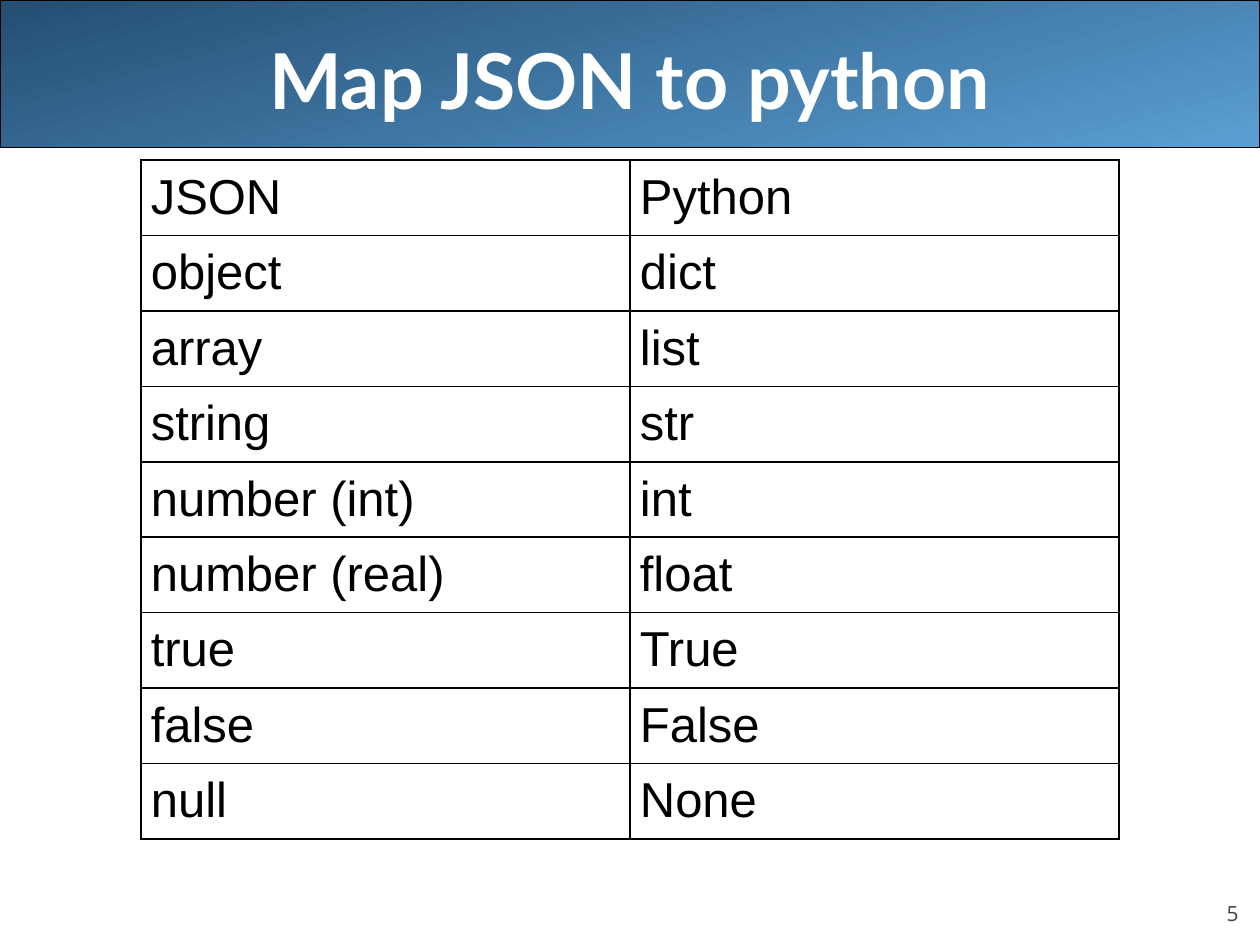
from typing import NamedTuple

from lxml import etree
from pptx import Presentation
from pptx.dml.color import RGBColor
from pptx.enum.shapes import MSO_SHAPE
from pptx.enum.text import MSO_ANCHOR, PP_ALIGN
from pptx.oxml.ns import qn
from pptx.util import Cm, Pt

ROUNDED = MSO_SHAPE.ROUNDED_RECTANGLE
MIDDLE, BOTTOM = MSO_ANCHOR.MIDDLE, MSO_ANCHOR.BOTTOM
CENTER, RIGHT = PP_ALIGN.CENTER, PP_ALIGN.RIGHT
TITLE_ONLY = 5

COLORS = {
    "banner_dark": "244E72",
    "banner_light": "5A9FD4",
    "border": "000000",
    "text": "000000",
    "white": "FFFFFF",
    "number": "424242",
}


class TypeMapping(NamedTuple):
    json: str
    python: str


class TextStyle(NamedTuple):
    font: str
    size: int
    color: str
    bold: bool = False


MAPPINGS = [
    TypeMapping("JSON", "Python"),
    TypeMapping("object", "dict"),
    TypeMapping("array", "list"),
    TypeMapping("string", "str"),
    TypeMapping("number (int)", "int"),
    TypeMapping("number (real)", "float"),
    TypeMapping("true", "True"),
    TypeMapping("false", "False"),
    TypeMapping("null", "None"),
]
TITLE_STYLE = TextStyle("Lato", 44, "white", bold=True)
CELL_STYLE = TextStyle("Arial", 28, "text")
NUMBER_STYLE = TextStyle("Open Sans", 12, "number")


def color(name: str) -> RGBColor:
    return RGBColor.from_string(COLORS[name])


def write(frame, text: str, style: TextStyle, align=None):
    """Set the text of a frame, style it, and return its paragraph."""
    frame.text = text
    para = frame.paragraphs[0]
    para.alignment = align
    font = para.runs[0].font
    font.name, font.size, font.bold = style.font, Pt(style.size), style.bold
    font.color.rgb = color(style.color)
    return para


def add_title(slide, text: str) -> None:
    title = slide.shapes.title
    title.left, title.top, title.width, title.height = Cm(1.27), Cm(0), Cm(22.86), Cm(3.18)
    title.text_frame.vertical_anchor = MIDDLE
    write(title.text_frame, text, TITLE_STYLE, CENTER)


def add_banner(slide, width: int) -> None:
    """Put the gradient banner behind the title."""
    banner = slide.shapes.add_shape(ROUNDED, Cm(0), Cm(0), width, Cm(2.97))
    banner.adjustments[0] = 0
    banner.shadow.inherit = False
    banner.fill.gradient()
    banner.fill.gradient_angle = 285
    for stop, name, position in zip(
        banner.fill.gradient_stops, ("banner_dark", "banner_light"), (0, 1)
    ):
        stop.color.rgb = color(name)
        stop.position = position
    banner.line.color.rgb = color("border")
    banner.line.width = Pt(0.75)
    slide.shapes.title.element.addprevious(banner.element)


def add_borders(cell) -> None:
    properties = cell._tc.get_or_add_tcPr()
    for index, side in enumerate(("a:lnL", "a:lnR", "a:lnT", "a:lnB")):
        line = etree.Element(qn(side), w=str(Pt(1)))
        fill = etree.SubElement(line, qn("a:solidFill"))
        etree.SubElement(fill, qn("a:srgbClr"), val=COLORS["border"])
        properties.insert(index, line)


def add_mapping_table(slide, mappings: list[TypeMapping]) -> None:
    row_height, column_width = Cm(1.52), Cm(9.86)
    columns = len(TypeMapping._fields)
    table = slide.shapes.add_table(
        len(mappings), columns, Cm(2.84), Cm(3.23),
        column_width * columns, row_height * len(mappings),
    ).table
    table.first_row = table.horz_banding = False
    for row, mapping in zip(table.rows, mappings):
        row.height = row_height
        for cell, text in zip(row.cells, mapping):
            cell.margin_left = cell.margin_right = Cm(0.2)
            cell.margin_top = cell.margin_bottom = Cm(0.2)
            cell.fill.solid()
            cell.fill.fore_color.rgb = color("white")
            add_borders(cell)
            write(cell.text_frame, text, CELL_STYLE)


def add_page_number(slide, number: int) -> None:
    box = slide.shapes.add_textbox(Cm(22.86), Cm(17.65), Cm(2.11), Cm(1.02))
    frame = box.text_frame
    frame.word_wrap = True
    frame.vertical_anchor = BOTTOM
    frame.margin_left = frame.margin_right = frame.margin_top = frame.margin_bottom = 0
    para = write(frame, str(number), NUMBER_STYLE, RIGHT)
    para.space_before = Pt(5)


def main() -> None:
    deck = Presentation()
    deck.slide_width, deck.slide_height = Cm(25.4), Cm(19.05)
    slide = deck.slides.add_slide(deck.slide_layouts[TITLE_ONLY])
    add_title(slide, "Map JSON to python")
    add_banner(slide, deck.slide_width)
    add_mapping_table(slide, MAPPINGS)
    add_page_number(slide, 5)
    deck.save("out.pptx")


if __name__ == "__main__":
    main()
